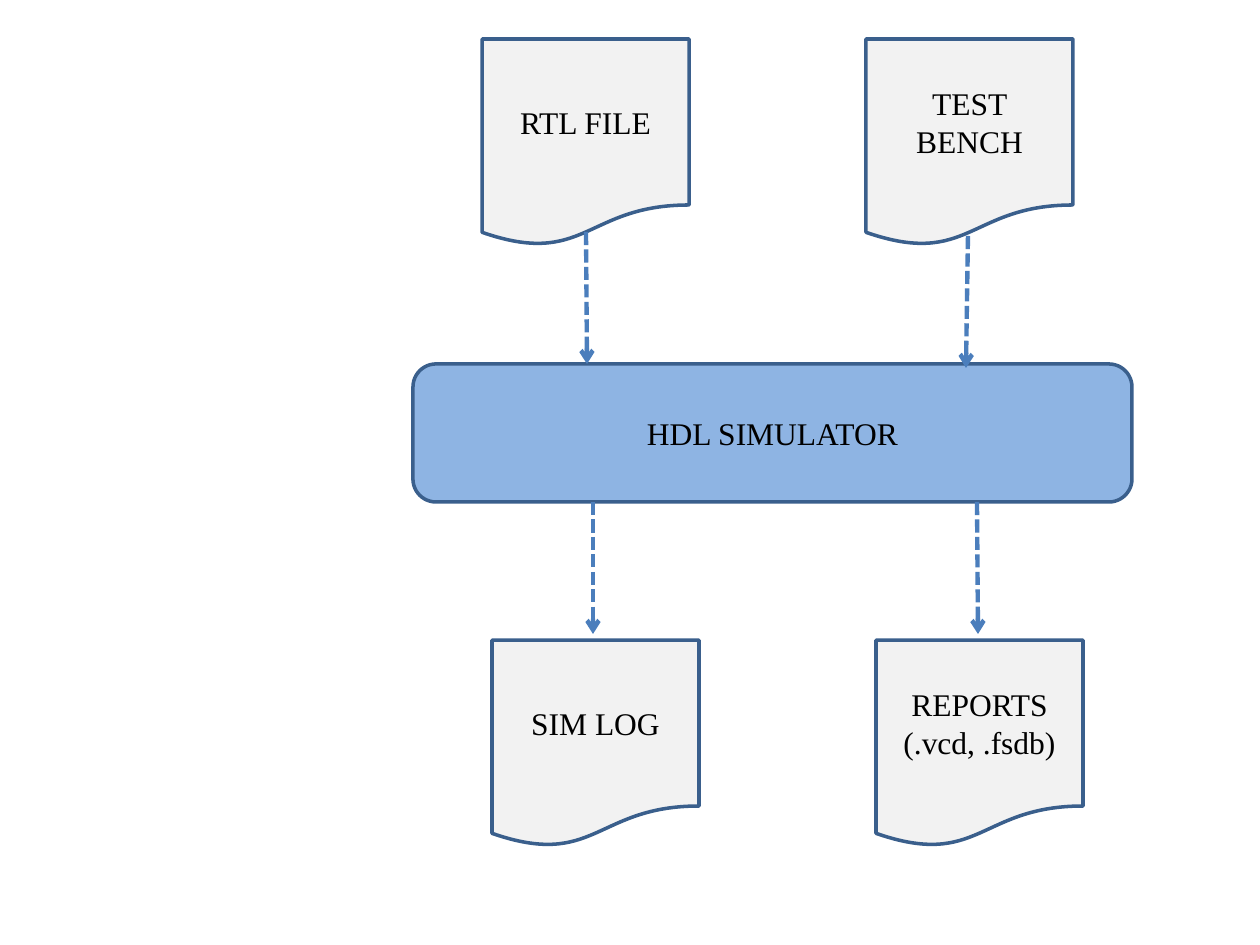
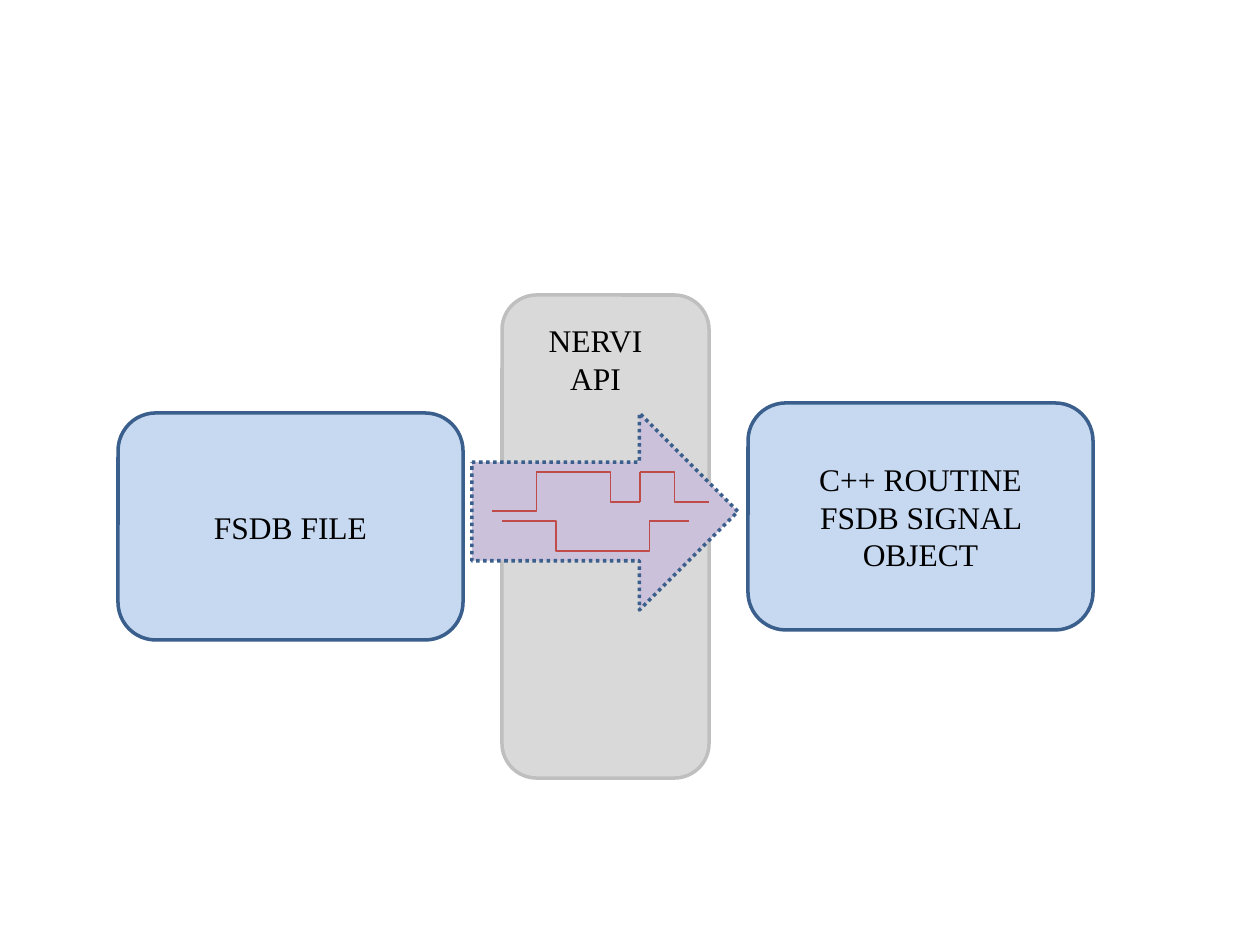
from dataclasses import dataclass

from lxml.etree import SubElement
from pptx import Presentation
from pptx.dml.color import RGBColor
from pptx.enum.dml import MSO_LINE as Dash
from pptx.enum.shapes import MSO_CONNECTOR as Link, MSO_SHAPE as Preset
from pptx.enum.text import MSO_ANCHOR as Anchor, PP_ALIGN as Align
from pptx.oxml.ns import qn
from pptx.util import Inches, Pt

EMU_PER_PIXEL = Inches(1) / 126


@dataclass(frozen=True)
class Theme:
    """Colours, type and line widths shared by both slides."""
    font: str = "Times New Roman"
    size: float = 18
    ink: str = "000000"
    outline: str = "3A5F8C"
    paper: str = "F2F2F2"
    tool: str = "8EB4E3"
    endpoint: str = "C6D9F1"
    layer: str = "D9D9D9"
    layer_edge: str = "BFBFBF"
    stream: str = "CCC1DA"
    flow: str = "4B7EBC"
    signal: str = "BF4C48"
    edge_width: float = 2
    flow_width: float = 2.5
    signal_width: float = 0.75


THEME = Theme()


def px(*lengths):
    """Turn pixels into EMU."""
    return [round(length * EMU_PER_PIXEL) for length in lengths]


def style_line(line, colour, width, dash=None):
    """Set the colour, width and optional dash of a line."""
    line.color.rgb = RGBColor.from_string(colour)
    line.width = Pt(width)
    if dash:
        line.dash_style = dash


def write(frame, lines):
    """Fill a text frame with centred paragraphs in the shared type."""
    frame.word_wrap = True
    for number, text in enumerate(lines):
        paragraph = frame.add_paragraph() if number else frame.paragraphs[0]
        paragraph.text = text
        paragraph.alignment = Align.CENTER
        paragraph.font.name = THEME.font
        paragraph.font.size = Pt(THEME.size)
        paragraph.font.color.rgb = RGBColor.from_string(THEME.ink)


def add_block(slide, preset, box, fill, lines=(), edge=THEME.outline, dash=None):
    """Draw an outlined preset shape with optional centred text."""
    block = slide.shapes.add_shape(preset, *px(*box))
    block.shadow.inherit = False
    block.fill.solid()
    block.fill.fore_color.rgb = RGBColor.from_string(fill)
    style_line(block.line, edge, THEME.edge_width, dash)
    block.text_frame.vertical_anchor = Anchor.MIDDLE
    write(block.text_frame, lines)


def add_link(slide, kind, ends, colour, width, dash=None):
    """Draw a connector without shadow and return it."""
    link = slide.shapes.add_connector(kind, *px(*ends))
    style_line(link.line, colour, width, dash)
    SubElement(link._element.spPr, qn("a:effectLst"))
    return link


def add_flow_arrow(slide, ends):
    """Draw a dashed arrow from one stage to the next."""
    arrow = add_link(slide, Link.STRAIGHT, ends, THEME.flow, THEME.flow_width,
                     Dash.SQUARE_DOT)
    SubElement(arrow.line._get_or_add_ln(), qn("a:tailEnd"), type="arrow")


def add_documents(slide, left, top, documents):
    """Draw a row of equally spaced file symbols."""
    side, pitch = 207, 384
    for column, lines in enumerate(documents):
        add_block(slide, Preset.FLOWCHART_DOCUMENT,
                  (left + column * pitch, top, side, side), THEME.paper, lines)


def simulation_flow(slide, box):
    """Draw input files, the simulator and its output files."""
    left, top, width, _ = box
    tool_top, tool_height, reach = top + 325, 138, 132
    tool_bottom = tool_top + tool_height
    add_documents(slide, left + 69, top, [["RTL FILE"], ["TEST BENCH"]])
    add_documents(slide, left + 79, top + 601,
                  [["SIM LOG"], ["REPORTS", "(.vcd, .fsdb)"]])
    add_block(slide, Preset.ROUNDED_RECTANGLE,
              (left, tool_top, width, tool_height), THEME.tool, ["HDL SIMULATOR"])
    for start_x, end_x, start_y in (
            (173, 174, tool_top - reach), (555, 553, tool_top - reach + 4),
            (180, 180, tool_bottom), (564, 565, tool_bottom)):
        add_flow_arrow(slide, (left + start_x, start_y,
                               left + end_x, start_y + reach))


def signal_stream(slide, box):
    """Draw the wide arrow carrying two signal waveforms."""
    left, top, _, _ = box
    add_block(slide, Preset.RIGHT_ARROW, box, THEME.stream, dash=Dash.ROUND_DOT)
    high, low = 59, 89
    lower_high, lower_low = 108, 138
    waves = [
        (Link.ELBOW, 30, lower_high, 138, lower_low),
        (Link.ELBOW, 138, lower_low, 217, lower_high),
        (Link.ELBOW, 109, high, 20, 98),
        (Link.ELBOW, 109, high, 168, low),
        (Link.ELBOW, 168, high, 237, low),
        (Link.STRAIGHT, 168, low, 168, high),
    ]
    for kind, x1, y1, x2, y2 in waves:
        add_link(slide, kind, (left + x1, top + y1, left + x2, top + y2),
                 THEME.signal, THEME.signal_width)


def signal_transfer(slide, box):
    """Draw the file, the API layer and the routine that reads signals."""
    left, top, width, height = box
    end_width, end_height = 345, 227
    for x, y, lines in (
            (left, top + 118, ["FSDB FILE"]),
            (left + width - end_width, top + 108,
             ["C++ ROUTINE", "FSDB SIGNAL OBJECT"])):
        add_block(slide, Preset.ROUNDED_RECTANGLE,
                  (x, y, end_width, end_height), THEME.endpoint, lines)
    add_block(slide, Preset.ROUNDED_RECTANGLE, (left + 384, top, 207, height),
              THEME.layer, edge=THEME.layer_edge)
    signal_stream(slide, (left + 354, top + 118, 266, 197))
    layer_label = slide.shapes.add_textbox(*px(left + 404, top + 20, 147, 89))
    write(layer_label.text_frame, ["NERVI API"])


def main():
    """Build both diagrams and save them."""
    deck = Presentation()
    deck.slide_width, deck.slide_height = Inches(10), Inches(7.5)
    blank = deck.slide_layouts[6]
    simulation_flow(deck.slides.add_slide(blank), (413, 39, 719, 808))
    signal_transfer(deck.slides.add_slide(blank), (118, 295, 975, 483))
    deck.save("out.pptx")


main()
